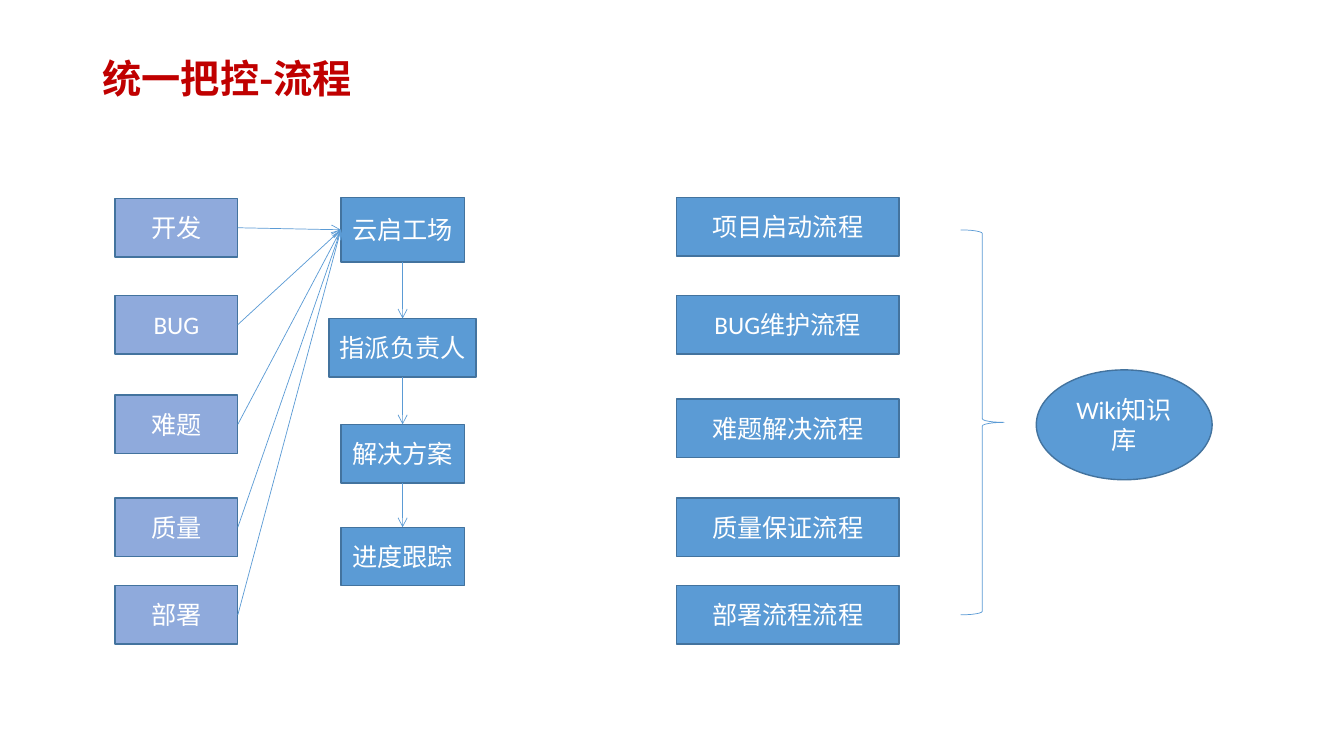
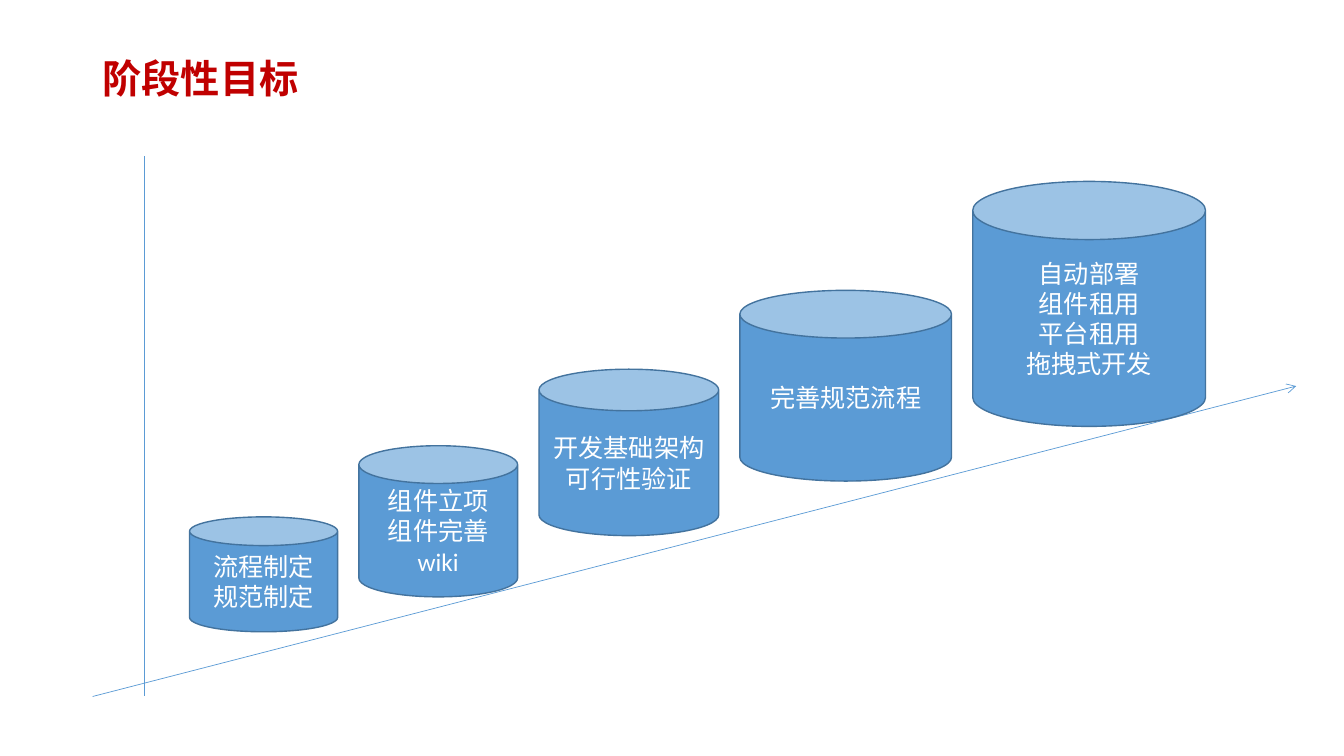
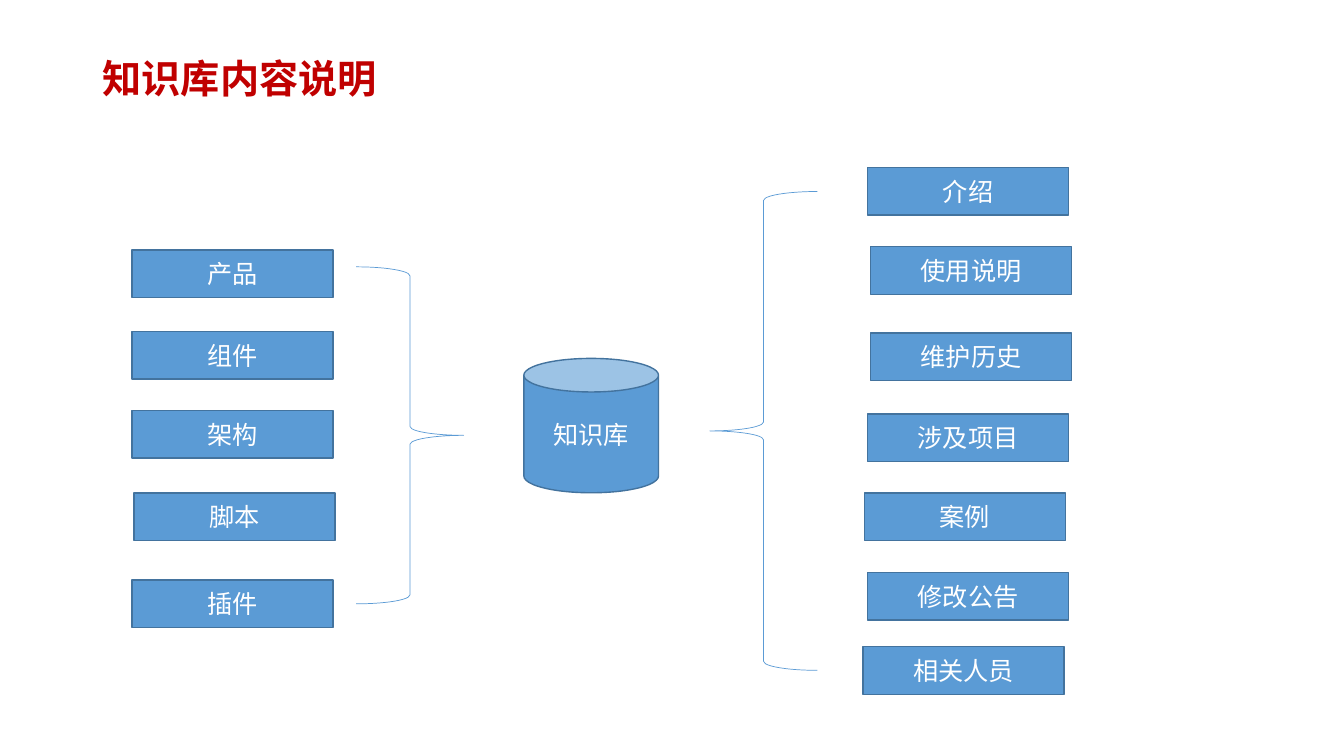
from pptx import Presentation
from pptx.dml.color import RGBColor
from pptx.enum.shapes import MSO_CONNECTOR, MSO_SHAPE as Preset
from pptx.enum.text import MSO_ANCHOR as Anchor, PP_ALIGN as Align
from pptx.oxml.ns import qn
from pptx.util import Pt
from lxml.etree import SubElement

RED = RGBColor(0xC0, 0x00, 0x00)
BLUE = RGBColor(0x5B, 0x9B, 0xD5)
PALE_BLUE = RGBColor(0x8F, 0xAA, 0xDC)
EDGE = RGBColor(0x43, 0x73, 0x9E)
WHITE = RGBColor(0xFF, 0xFF, 0xFF)

TITLE_FONT = "Noto Sans CJK SC"
TITLE = dict(name=TITLE_FONT, size=Pt(28), bold=True)
LABEL = dict(name="Calibri", size=Pt(18), bold=False)
TOP, LEFT, BOTTOM, RIGHT = range(4)


def points(*lengths):
    return [Pt(length) for length in lengths]


class Deck:
    def __init__(self):
        self.prs = Presentation()
        self.prs.slide_width, self.prs.slide_height = points(960, 540)
        self.slide = None

    def start(self, title):
        self.slide = self.prs.slides.add_slide(self.prs.slide_layouts[6])
        heading = self.slide.shapes.add_textbox(*points(66.2, 28.8, 675.4, 58.3))
        self.set_text(heading, title, TITLE, RED, Align.LEFT)
        paragraph = heading.text_frame.paragraphs[0]
        paragraph.line_spacing = 0.9
        east_asian = SubElement(paragraph.runs[0].font._element, qn("a:ea"))
        east_asian.set("typeface", TITLE_FONT)

    def set_text(self, holder, text, style, color, align):
        frame = holder.text_frame
        frame.word_wrap = True
        frame.vertical_anchor = Anchor.MIDDLE
        frame.text = text
        for paragraph in frame.paragraphs:
            paragraph.alignment = align
            font = paragraph.runs[0].font
            for key, value in style.items():
                setattr(font, key, value)
            font.color.rgb = color

    def outline(self, item, color, width):
        item.line.color.rgb = color
        item.line.width = Pt(width)

    def block(self, text, left, top, width, height, preset=Preset.RECTANGLE, fill=BLUE):
        block = self.slide.shapes.add_shape(preset, *points(left, top, width, height))
        block.shadow.inherit = False
        block.fill.solid()
        block.fill.fore_color.rgb = fill
        self.outline(block, EDGE, 1)
        self.set_text(block, text, LABEL, WHITE, Align.CENTER)
        return block

    def brace(self, preset, left, top, width, height, rotation=0):
        brace = self.slide.shapes.add_shape(preset, *points(left, top, width, height))
        brace.shadow.inherit = False
        brace.fill.background()
        brace.rotation = rotation
        self.outline(brace, BLUE, 0.5)

    def line(self, x1=0, y1=0, x2=0, y2=0, arrow=True):
        line = self.slide.shapes.add_connector(
            MSO_CONNECTOR.STRAIGHT, *points(x1, y1, x2, y2))
        self.outline(line, BLUE, 0.5)
        properties = line._element.spPr
        if arrow:
            SubElement(properties.find(qn("a:ln")), qn("a:tailEnd")).set("type", "arrow")
        SubElement(properties, qn("a:effectLst"))
        return line

    def link(self, start, start_side, end, end_side):
        line = self.line()
        line.begin_connect(start, start_side)
        line.end_connect(end, end_side)


def process_slide(deck):
    deck.start("统一把控-流程")
    height = 41.8
    sources = [
        deck.block(text, 82.1, top, 87.8, height, fill=PALE_BLUE)
        for text, top in [("开发", 141.8), ("BUG", 211), ("难题", 282.2),
                          ("质量", 355.7), ("部署", 418.3)]
    ]
    for text, top in [("项目启动流程", 141.1), ("BUG维护流程", 211),
                      ("难题解决流程", 285.1), ("质量保证流程", 355.7),
                      ("部署流程流程", 418.3)]:
        deck.block(text, 483.1, top, 159.1, height)

    center = 287.6
    steps = [
        deck.block(text, center - width / 2, top, width, step_height)
        for text, top, width, step_height in [
            ("云启工场", 141.1, 88.2, 46.1), ("指派负责人", 227.5, 105.1, height),
            ("解决方案", 303.1, 88.2, height), ("进度跟踪", 376.6, 88.2, height)]
    ]
    for source in sources:
        deck.link(source, RIGHT, steps[0], LEFT)
    for step, following in zip(steps, steps[1:]):
        deck.link(step, BOTTOM, following, TOP)

    deck.brace(Preset.RIGHT_BRACE, 686.2, 164.2, 31, 275)
    deck.block("Wiki知识库", 740.2, 264.2, 125.6, 78.5, Preset.OVAL)


def goals_slide(deck):
    deck.start("阶段性目标")
    deck.line(66.2, 497.5, 925.9, 275.8)
    deck.line(103.3, 111.6, 103.3, 497.5, arrow=False)
    for text, *box in [
        ("流程制定\n规范制定", 135.4, 369.2, 105.8, 82.1),
        ("组件立项\n组件完善wiki", 256.3, 318.4, 113.4, 108),
        ("开发基础架构\n可行性验证", 385, 263.7, 128.4, 118.9),
        ("完善规范流程", 528.5, 207.4, 151.2, 136.2),
        ("自动部署\n组件租用\n平台租用\n拖拽式开发", 694.8, 129.6, 166.3, 175),
    ]:
        deck.block(text, *box, Preset.CAN)


def knowledge_slide(deck):
    deck.start("知识库内容说明")
    deck.block("知识库", 374.2, 256, 96.2, 96, Preset.CAN)
    for text, left, top in [
        ("产品", 94.3, 178.6), ("组件", 94.3, 236.9), ("架构", 94.3, 293.2),
        ("脚本", 95.8, 352), ("插件", 94.3, 414.2),
        ("介绍", 619.7, 119.5), ("使用说明", 621.8, 176.2),
        ("维护历史", 621.8, 237.8), ("涉及项目", 619.7, 295.7),
        ("案例", 617.5, 352.1), ("修改公告", 619.7, 409), ("相关人员", 616.6, 462),
    ]:
        deck.block(text, left, top, 143.6, 34)
    deck.brace(Preset.LEFT_BRACE, 254.4, 190.6, 76.8, 240.7, rotation=180)
    deck.brace(Preset.LEFT_BRACE, 507, 136.8, 76.8, 342)


def main():
    deck = Deck()
    for build in (process_slide, goals_slide, knowledge_slide):
        build(deck)
    deck.prs.save("out.pptx")


if __name__ == "__main__":
    main()
